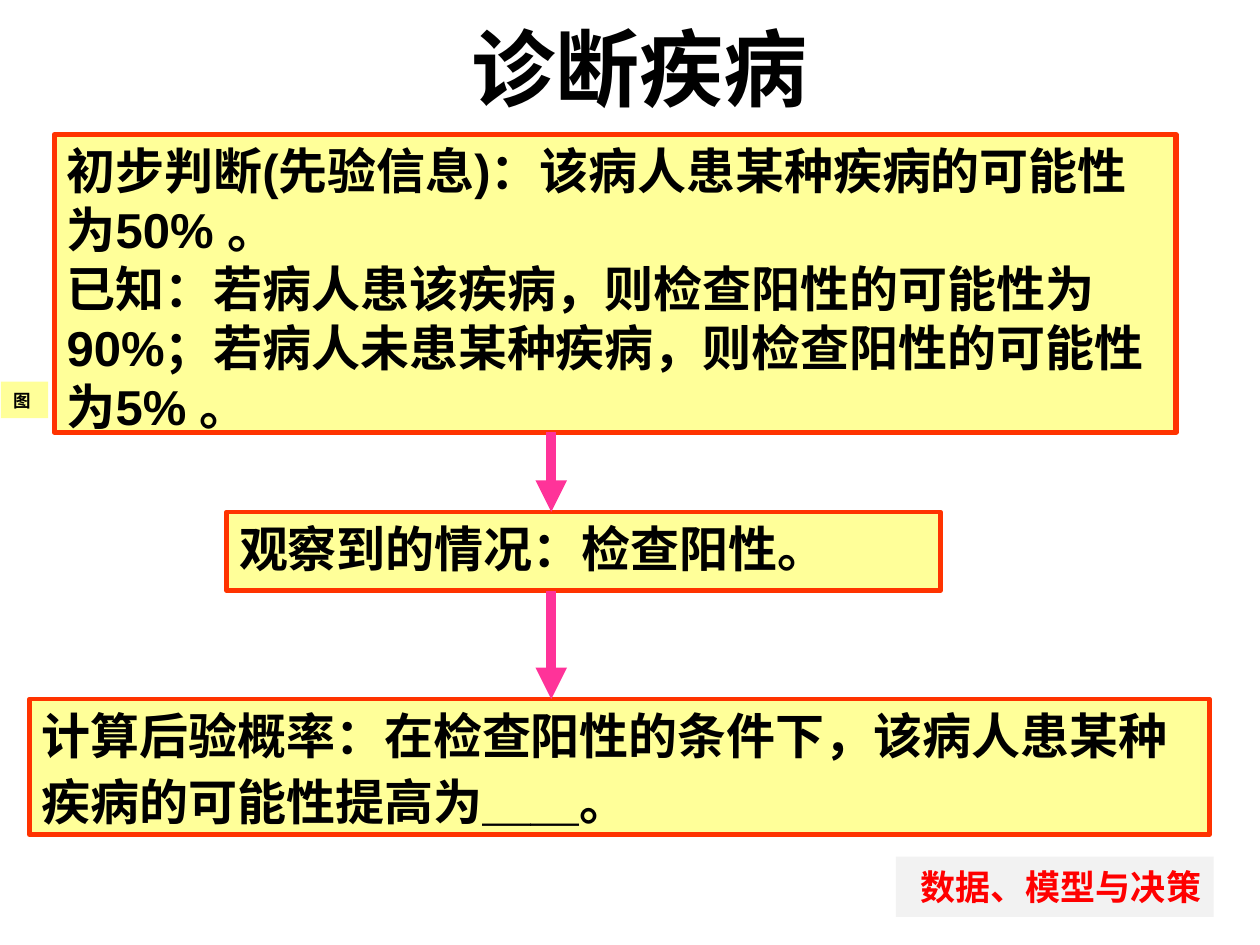
from lxml.etree import SubElement
from pptx import Presentation
from pptx.dml.color import RGBColor
from pptx.enum.shapes import MSO_CONNECTOR as Connector, MSO_SHAPE as Shape
from pptx.enum.text import MSO_ANCHOR as Anchor, PP_ALIGN as Align
from pptx.oxml.ns import qn
from pptx.util import Pt

YELLOW, ORANGE, PINK = "FFFF99", "FF3300", "FF3399"


def color(value):
    """Turn a hex string into a colour."""
    return RGBColor.from_string(value)


def set_values(target, values):
    """Set each attribute of the target from a dict."""
    for name, value in values.items():
        setattr(target, name, value)


def add_span(para, text, size, font="Arial", ink="000000"):
    """Append bold text in one font for Latin and East Asian letters."""
    span = para.add_run()
    span.text = text
    set_values(span.font, {"name": font, "size": Pt(size), "bold": True})
    span.font.color.rgb = color(ink)
    SubElement(span.font._element, qn("a:ea"), typeface=font)


def write(box, paragraphs, anchor=Anchor.TOP, align=Align.LEFT, wrap=True, **style):
    """Fill a box with paragraphs, each a list of (text, size) spans."""
    frame = box.text_frame
    set_values(frame, {
        "word_wrap": wrap, "vertical_anchor": anchor,
        "margin_left": Pt(7.2), "margin_right": Pt(7.2),
        "margin_top": Pt(3.6), "margin_bottom": Pt(3.6),
    })
    for index, spans in enumerate(paragraphs):
        para = frame.add_paragraph() if index else frame.paragraphs[0]
        para.alignment = align
        for text, size in spans:
            add_span(para, text, size, **style)


def add_panel(page, area, fill, outline=0):
    """Add a filled rectangle, with an orange outline if a width is given."""
    panel = page.shapes.add_shape(Shape.RECTANGLE, *map(Pt, area))
    panel.shadow.inherit = False
    panel.fill.solid()
    panel.fill.fore_color.rgb = color(fill)
    if outline:
        panel.line.color.rgb = color(ORANGE)
        panel.line.width = Pt(outline)
    else:
        panel.line.fill.background()
    return panel


def add_title(page, area, text):
    """Add the centred title."""
    box = page.shapes.add_textbox(*map(Pt, area))
    write(box, [[(text, 48)]], Anchor.MIDDLE, Align.CENTER)


def add_arrow(page, x, top, bottom):
    """Add a thick downward arrow."""
    arrow = page.shapes.add_connector(
        Connector.STRAIGHT, Pt(x), Pt(top), Pt(x), Pt(bottom))
    arrow.line.color.rgb = color(PINK)
    arrow.line.width = Pt(6)
    SubElement(arrow.line._get_or_add_ln(), qn("a:tailEnd"), type="triangle")
    SubElement(arrow._element.spPr, qn("a:effectLst"))


def add_flow(page, steps, x):
    """Add the outlined steps and the arrows between them."""
    for area, outline, paragraphs in steps:
        write(add_panel(page, area, YELLOW, outline), paragraphs)
    for (upper, *_), (lower, *_) in zip(steps, steps[1:]):
        add_arrow(page, x, upper[1] + upper[3], lower[1])


def add_tag(page, area, text):
    """Add the small yellow tag at the left edge."""
    write(add_panel(page, area, YELLOW), [[(text, 10), (" ", 11)]],
          Anchor.MIDDLE, wrap=False)


def add_footer(page, area, text):
    """Add the grey course name at the bottom right."""
    write(add_panel(page, area, "F2F2F2"), [[(text, 20)]], Anchor.MIDDLE,
          Align.RIGHT, font="Noto Sans CJK SC", ink="FF0000")


def main():
    """Build the slide and save it."""
    deck = Presentation()
    set_values(deck, {"slide_width": Pt(720), "slide_height": Pt(540)})
    page = deck.slides.add_slide(deck.slide_layouts[6])
    steps = [
        ((31, 77, 641, 170), 3, [
            [("初步判断(先验信息)：该病人患某种疾病的可能性为50% 。", 28)],
            [("已知：若病人患该疾病，则检查阳性的可能性为90%；"
              "若病人未患某种疾病，则检查阳性的可能性为5% 。", 28)],
        ]),
        ((129.5, 292.5, 408, 45), 2.5, [[("观察到的情况：检查阳性。", 28)]]),
        ((16.75, 399.5, 674.5, 77.5), 2.5, [
            [("计算后验概率：在检查阳性的条件下，"
              "该病人患某种疾病的可能性提高为＿＿。", 28), ("　", 32)],
        ]),
    ]
    add_footer(page, (512, 489.5, 181.5, 34.5), "数据、模型与决策")
    add_title(page, (70.5, 6, 590, 65), "诊断疾病")
    add_flow(page, steps, 315)
    add_tag(page, (0.5, 218, 27, 21), "图")
    deck.save("out.pptx")


if __name__ == "__main__":
    main()
